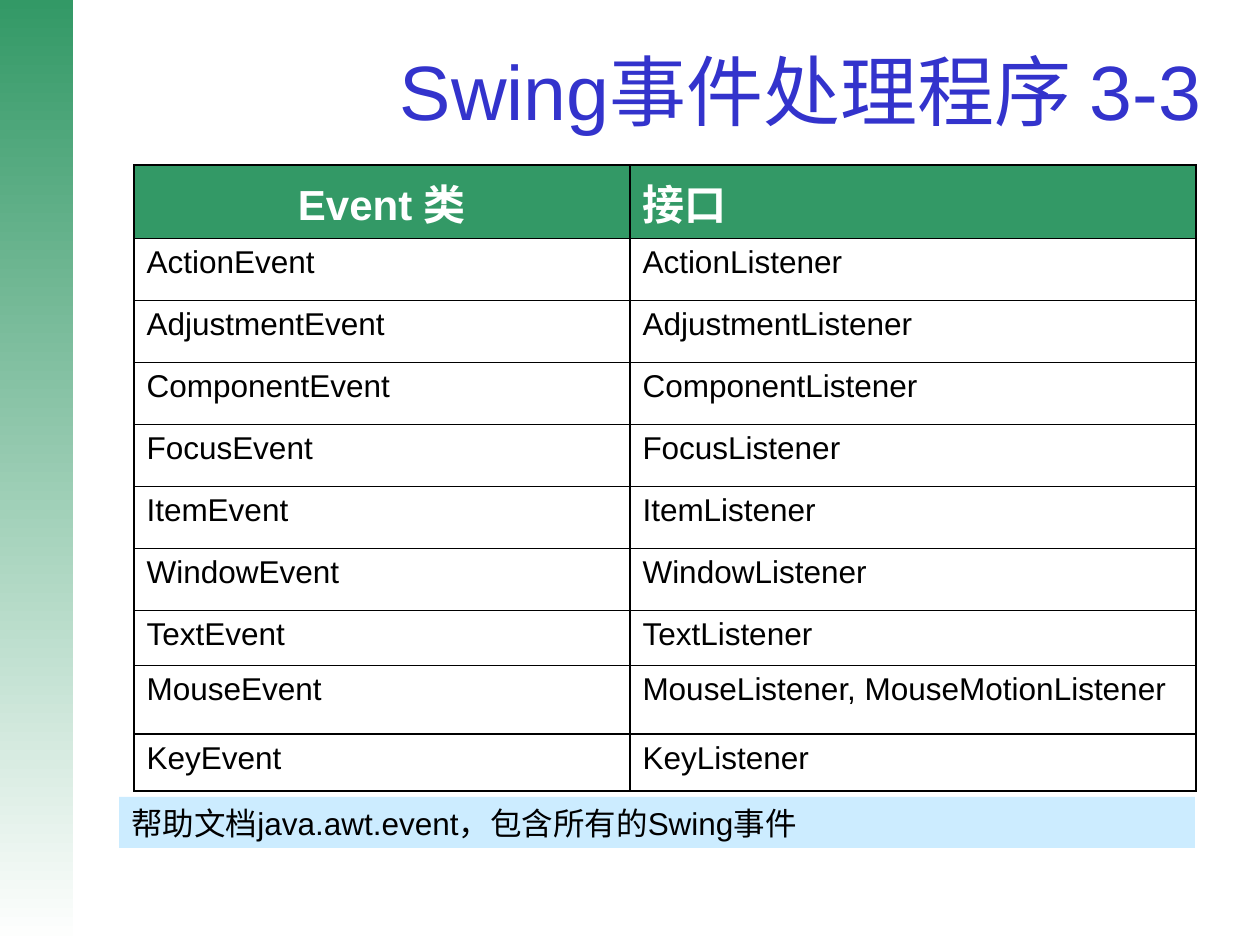
from lxml import etree
from pptx import Presentation
from pptx.dml.color import RGBColor
from pptx.enum.shapes import MSO_SHAPE
from pptx.enum.text import MSO_ANCHOR, PP_ALIGN
from pptx.oxml.ns import qn
from pptx.util import Emu, Pt

RECT = MSO_SHAPE.RECTANGLE
MIDDLE = MSO_ANCHOR.MIDDLE
LEFT, CENTER, RIGHT = PP_ALIGN.LEFT, PP_ALIGN.CENTER, PP_ALIGN.RIGHT

FONT = "Arial"
COLORS = {"green": "339966", "white": "FFFFFF", "title": "3333CC",
          "black": "000000", "note": "CCECFF"}
COL_WIDTHS = [496, 566]
ROW_HEIGHTS = [63] + [62] * 6 + [55, 69, 57]
HEADER = ("Event 类", "接口")
EVENTS = {name + "Event": name + "Listener" for name in
          ("Action", "Adjustment", "Component", "Focus", "Item",
           "Window", "Text", "Mouse", "Key")}
EVENTS["MouseEvent"] = "MouseListener, MouseMotionListener"


def px(n):
    """Turn px into EMU at 126 px to the inch."""
    return Emu(round(n * 914400 / 126))


def rgb(name):
    """Look up a named colour."""
    return RGBColor.from_string(COLORS[name])


def write(tf, text, size, color, align=LEFT, bold=False):
    """Put one formatted paragraph in a text frame."""
    p = tf.paragraphs[0]
    p.text = text
    p.alignment = align
    p.font.name, p.font.size, p.font.bold = FONT, Pt(size), bold
    p.font.color.rgb = rgb(color)


def add_rect(s, box):
    """Add a plain rectangle without line or shadow."""
    sp = s.shapes.add_shape(RECT, *map(px, box))
    sp.shadow.inherit = False
    sp.line.fill.background()
    return sp


def add_band(s, box):
    """Draw the fading side band."""
    fill = add_rect(s, box).fill
    fill.gradient()
    fill.gradient_angle = 270
    for stop, color in zip(fill.gradient_stops, ("green", "white")):
        stop.color.rgb = rgb(color)


def add_title(s, box):
    """Place the title placeholder."""
    sp = s.shapes.title
    sp.left, sp.top, sp.width, sp.height = map(px, box)
    tf = sp.text_frame
    tf.vertical_anchor = MIDDLE
    write(tf, "Swing事件处理程序 3-3 ", 44, "title", RIGHT)


def set_borders(cell):
    """Give a cell thin black lines on all sides."""
    tc_pr = cell._tc.get_or_add_tcPr()
    for i, side in enumerate(("a:lnL", "a:lnR", "a:lnT", "a:lnB")):
        ln = etree.Element(qn(side), w=str(Pt(1)))
        fill = etree.SubElement(ln, qn("a:solidFill"))
        etree.SubElement(fill, qn("a:srgbClr"), val=COLORS["black"])
        tc_pr.insert(i, ln)


def add_event_table(s, left, top):
    """Build the table of event classes and their listeners."""
    rows = [HEADER, *EVENTS.items()]
    table = s.shapes.add_table(
        len(rows), len(COL_WIDTHS), px(left), px(top),
        px(sum(COL_WIDTHS)), px(sum(ROW_HEIGHTS))).table
    for col, width in zip(table.columns, COL_WIDTHS):
        col.width = px(width)
    for row, height in zip(table.rows, ROW_HEIGHTS):
        row.height = px(height)
    for i, texts in enumerate(rows):
        for j, text in enumerate(texts):
            cell = table.cell(i, j)
            cell.fill.solid()
            cell.fill.fore_color.rgb = rgb("white" if i else "green")
            set_borders(cell)
            if i:
                write(cell.text_frame, text, 18, "black")
            else:
                write(cell.text_frame, text, 24, "white",
                      LEFT if j else CENTER, True)


def add_note(s, box):
    """Draw the tinted note under the table."""
    sp = add_rect(s, box)
    sp.fill.solid()
    sp.fill.fore_color.rgb = rgb("note")
    tf = sp.text_frame
    tf.word_wrap = True
    tf.vertical_anchor = MIDDLE
    write(tf, "帮助文档java.awt.event，包含所有的Swing事件", 18, "black")


def main():
    """Build and save the slide."""
    prs = Presentation()
    prs.slide_width, prs.slide_height = px(1260), px(945)
    s = prs.slides.add_slide(prs.slide_layouts[5])
    add_band(s, (0, 0, 73, 945))
    add_title(s, (101, 35, 1134, 110))
    add_event_table(s, 134, 165)
    add_note(s, (119, 797, 1076, 51))
    prs.save("out.pptx")


if __name__ == "__main__":
    main()
